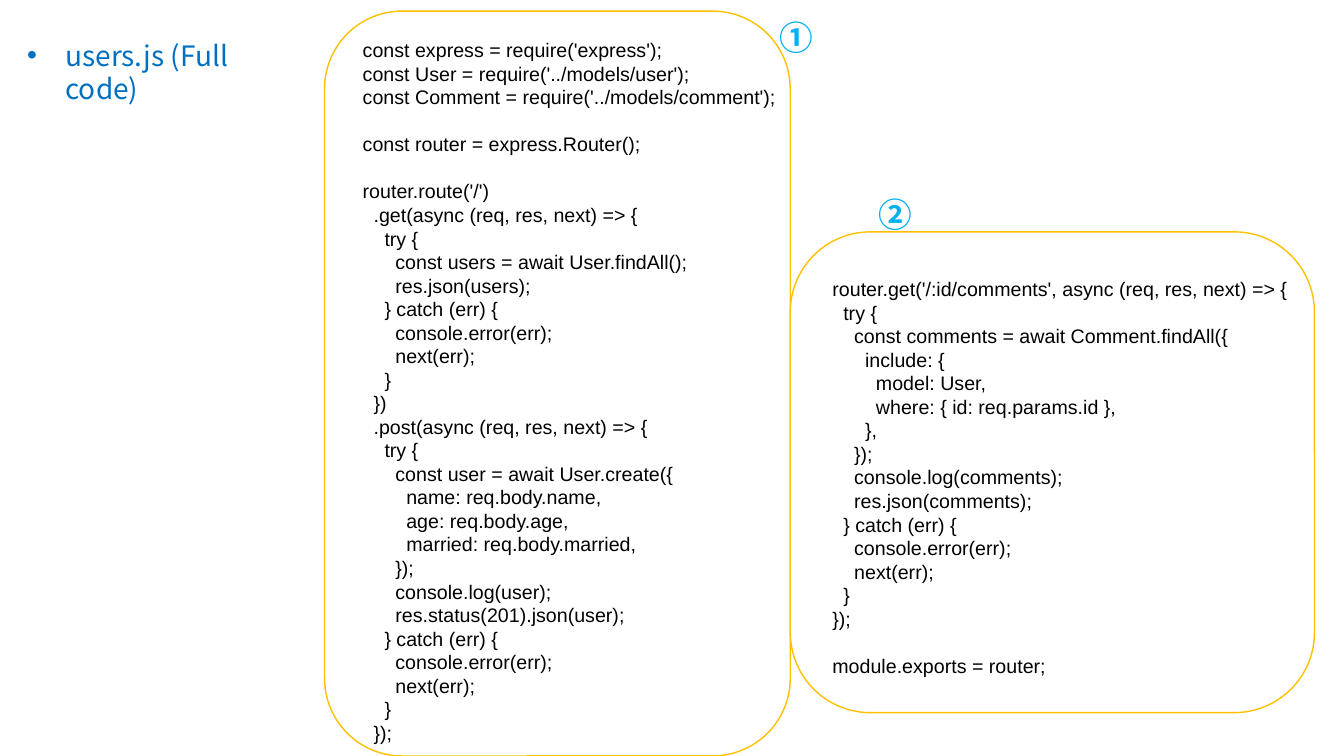
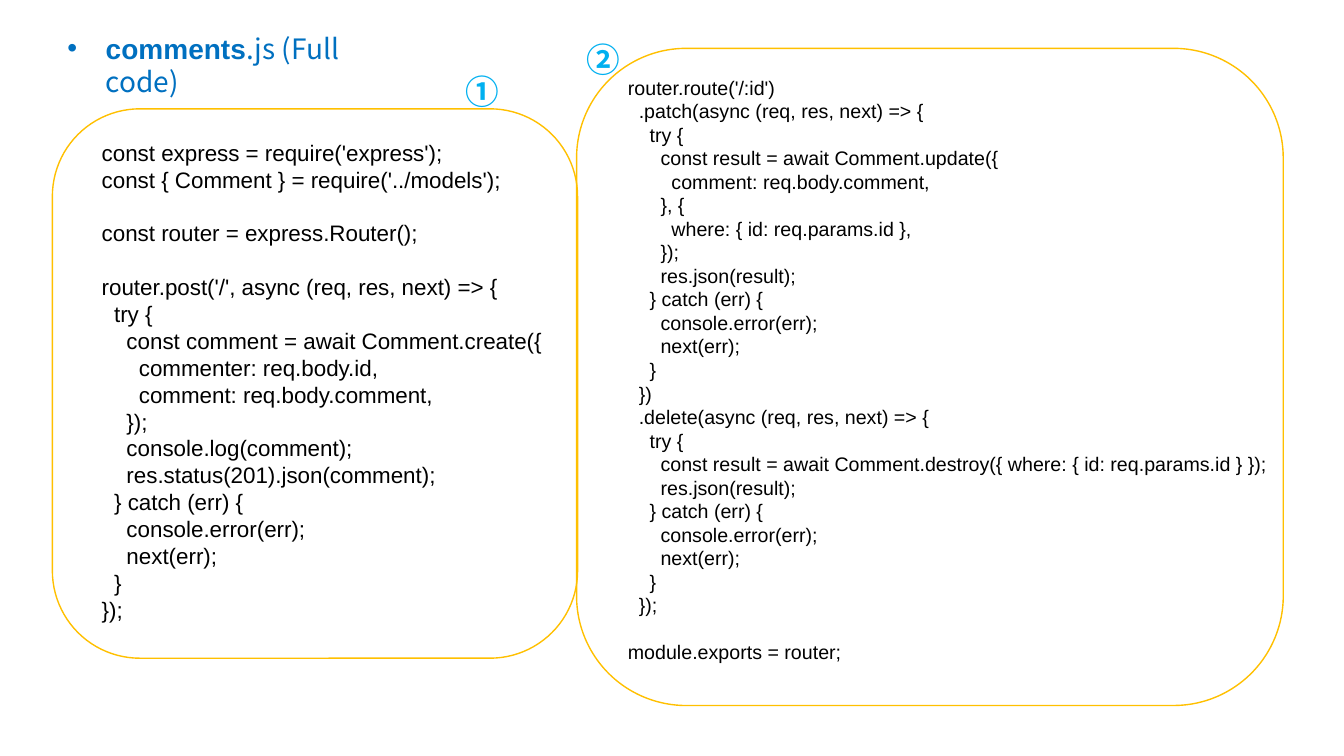
from lxml.etree import SubElement
from pptx import Presentation
from pptx.dml.color import RGBColor
from pptx.enum.shapes import MSO_SHAPE
from pptx.enum.text import PP_ALIGN
from pptx.oxml.ns import qn
from pptx.util import Inches, Pt

COLORS = {"title": "0070C0", "code": "000000", "panel": "FFC000", "badge": "00B0F0"}
FONTS = {"code": "Arial", "text": "Noto Sans CJK KR"}
LINE_HEIGHT = 1.2

USERS_ROUTES = """\
const express = require('express');
const User = require('../models/user');
const Comment = require('../models/comment');

const router = express.Router();

router.route('/')
  .get(async (req, res, next) => {
    try {
      const users = await User.findAll();
      res.json(users);
    } catch (err) {
      console.error(err);
      next(err);
    }
  })
  .post(async (req, res, next) => {
    try {
      const user = await User.create({
        name: req.body.name,
        age: req.body.age,
        married: req.body.married,
      });
      console.log(user);
      res.status(201).json(user);
    } catch (err) {
      console.error(err);
      next(err);
    }
  });"""

USER_COMMENTS = """\
router.get('/:id/comments', async (req, res, next) => {
  try {
    const comments = await Comment.findAll({
      include: {
        model: User,
        where: { id: req.params.id },
      },
    });
    console.log(comments);
    res.json(comments);
  } catch (err) {
    console.error(err);
    next(err);
  }
});

module.exports = router;"""

COMMENT_CREATION = """\
const express = require('express');
const { Comment } = require('../models');

const router = express.Router();

router.post('/', async (req, res, next) => {
  try {
    const comment = await Comment.create({
      commenter: req.body.id,
      comment: req.body.comment,
    });
    console.log(comment);
    res.status(201).json(comment);
  } catch (err) {
    console.error(err);
    next(err);
  }
});"""

COMMENT_CHANGES = """\
router.route('/:id')
  .patch(async (req, res, next) => {
    try {
      const result = await Comment.update({
        comment: req.body.comment,
      }, {
        where: { id: req.params.id },
      });
      res.json(result);
    } catch (err) {
      console.error(err);
      next(err);
    }
  })
  .delete(async (req, res, next) => {
    try {
      const result = await Comment.destroy({ where: { id: req.params.id } });
      res.json(result);
    } catch (err) {
      console.error(err);
      next(err);
    }
  });

module.exports = router;"""


def add_span(para, text, *, size, color, font="text", bold=False):
    """Add one formatted run to a paragraph with a fixed line height."""
    para.alignment = PP_ALIGN.LEFT
    para.line_spacing = Pt(size * LINE_HEIGHT)
    span = para.add_run()
    span.text = text
    span.font.size = Pt(size)
    span.font.bold = bold
    span.font.name = FONTS[font]
    span.font.color.rgb = RGBColor.from_string(COLORS[color])
    SubElement(span.font._element, qn("a:ea"), typeface=FONTS[font])


class CodeDeck:
    """Deck of code listings, with lengths in percent of the slide's size."""

    def __init__(self):
        """Start an empty widescreen deck."""
        self.deck = Presentation()
        self.deck.slide_width = Inches(13.33)
        self.deck.slide_height = Inches(7.5)
        self.page = None

    def add_page(self):
        """Open a blank slide."""
        self.page = self.deck.slides.add_slide(self.deck.slide_layouts[6])

    def area(self, left, top, width, height):
        """Turn percentages into slide lengths."""
        across, down = self.deck.slide_width / 100, self.deck.slide_height / 100
        return [round(length) for length in
                (left * across, top * down, width * across, height * down)]

    def text_frame(self, *place, wrap=True):
        """Add a text box and return its frame."""
        frame = self.page.shapes.add_textbox(*self.area(*place)).text_frame
        frame.word_wrap = wrap
        return frame

    def title(self, left, top, width, *spans):
        """Add the bulleted file name."""
        para = self.text_frame(left, top, width, 5.87).paragraphs[0]
        indent = Inches(0.38)
        properties = para._p.get_or_add_pPr()
        properties.set("marL", str(indent))
        properties.set("indent", str(-indent))
        SubElement(properties, qn("a:buFont"), typeface="Arial")
        SubElement(properties, qn("a:buChar"), char="•")
        for text, style in spans:
            add_span(para, text, size=20, color="title", **style)

    def code(self, *place, listing, size=14):
        """Add a listing, one paragraph per line, with gaps between its parts."""
        frame = self.text_frame(*place)
        para = frame.paragraphs[0]
        for part_number, part in enumerate(listing.split("\n\n")):
            for line_number, line in enumerate(part.split("\n")):
                if part_number or line_number:
                    para = frame.add_paragraph()
                add_span(para, line, size=size, color="code", font="code")
                if part_number and not line_number:
                    para.space_before = Pt(size * LINE_HEIGHT)

    def panel(self, *place):
        """Add a rounded outline around a listing."""
        shape = self.page.shapes.add_shape(MSO_SHAPE.ROUNDED_RECTANGLE, *self.area(*place))
        shape.shadow.inherit = False
        shape.fill.background()
        shape.line.color.rgb = RGBColor.from_string(COLORS["panel"])
        shape.line.width = Pt(1)

    def badge(self, left, top, mark):
        """Add a circled number."""
        frame = self.text_frame(left, top, 4.05, 6.67, wrap=False)
        add_span(frame.paragraphs[0], mark, size=24, color="badge", bold=True)


def main():
    """Build both slides and save the deck."""
    show = CodeDeck()

    show.add_page()
    show.title(1.28, 4.4, 19.5, ("users.js (Full code)", {}))
    show.code(26.25, 4.4, 32.55, 95.6, listing=USERS_ROUTES)
    show.code(61.2, 36, 36.53, 54.8, listing=USER_COMMENTS)
    show.panel(24.15, 1.47, 34.65, 98.53)
    show.panel(58.8, 30.67, 39, 63.6)
    show.badge(64.65, 24.93, "②")
    show.badge(57.23, 1.6, "①")

    show.add_page()
    show.title(4.28, 3.47, 24.75, ("comments", {"font": "code", "bold": True}),
               (".js (Full code)", {}))
    show.code(6.83, 17.73, 50, 67.73, listing=COMMENT_CREATION, size=16)
    show.code(45.98, 9.33, 50, 79.87, listing=COMMENT_CHANGES)
    show.panel(3.9, 14.4, 39.08, 72.67)
    show.panel(42.9, 6.4, 52.58, 86.93)
    show.badge(42.9, 4.53, "②")
    show.badge(33.9, 8.67, "①")

    show.deck.save("out.pptx")


if __name__ == "__main__":
    main()
